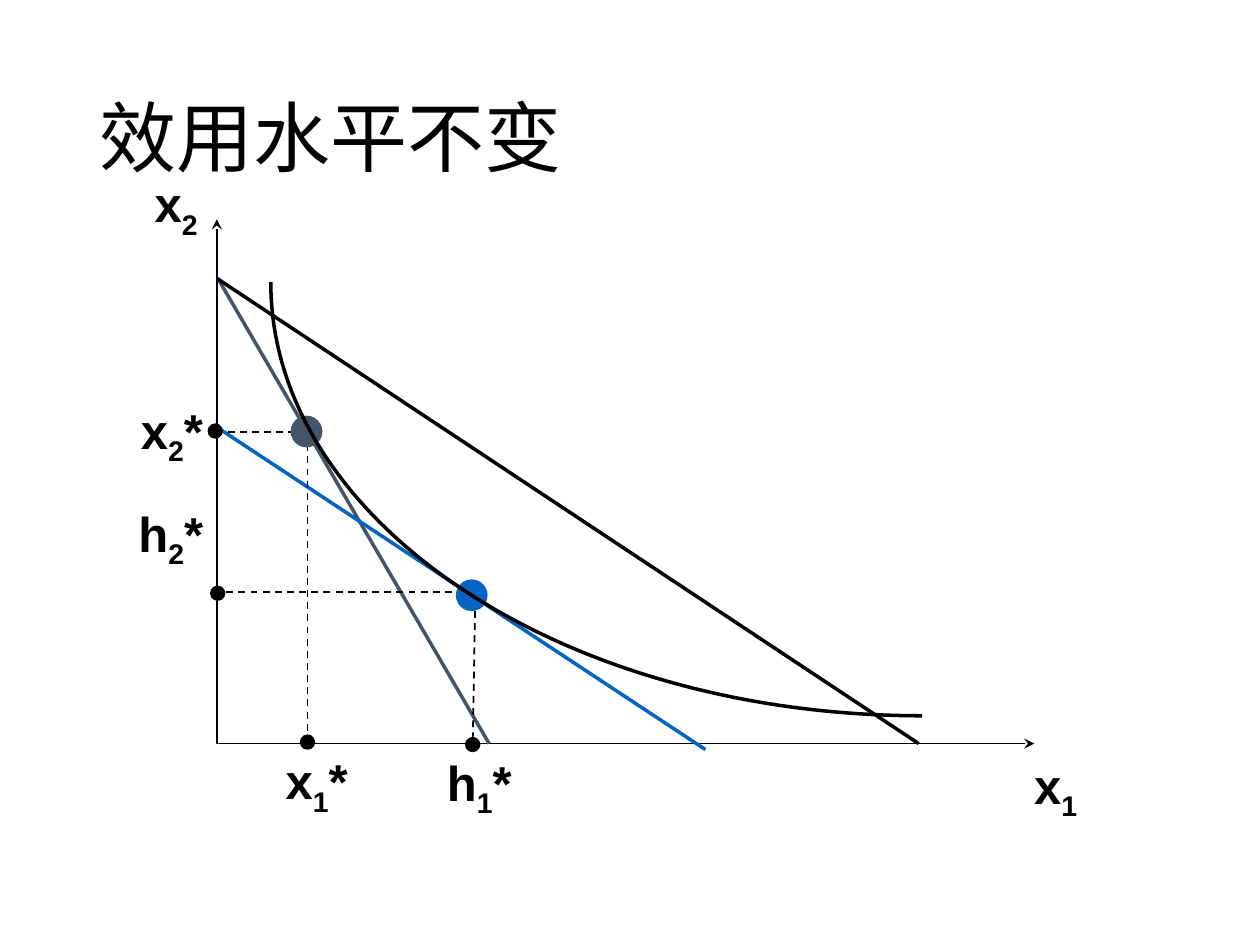
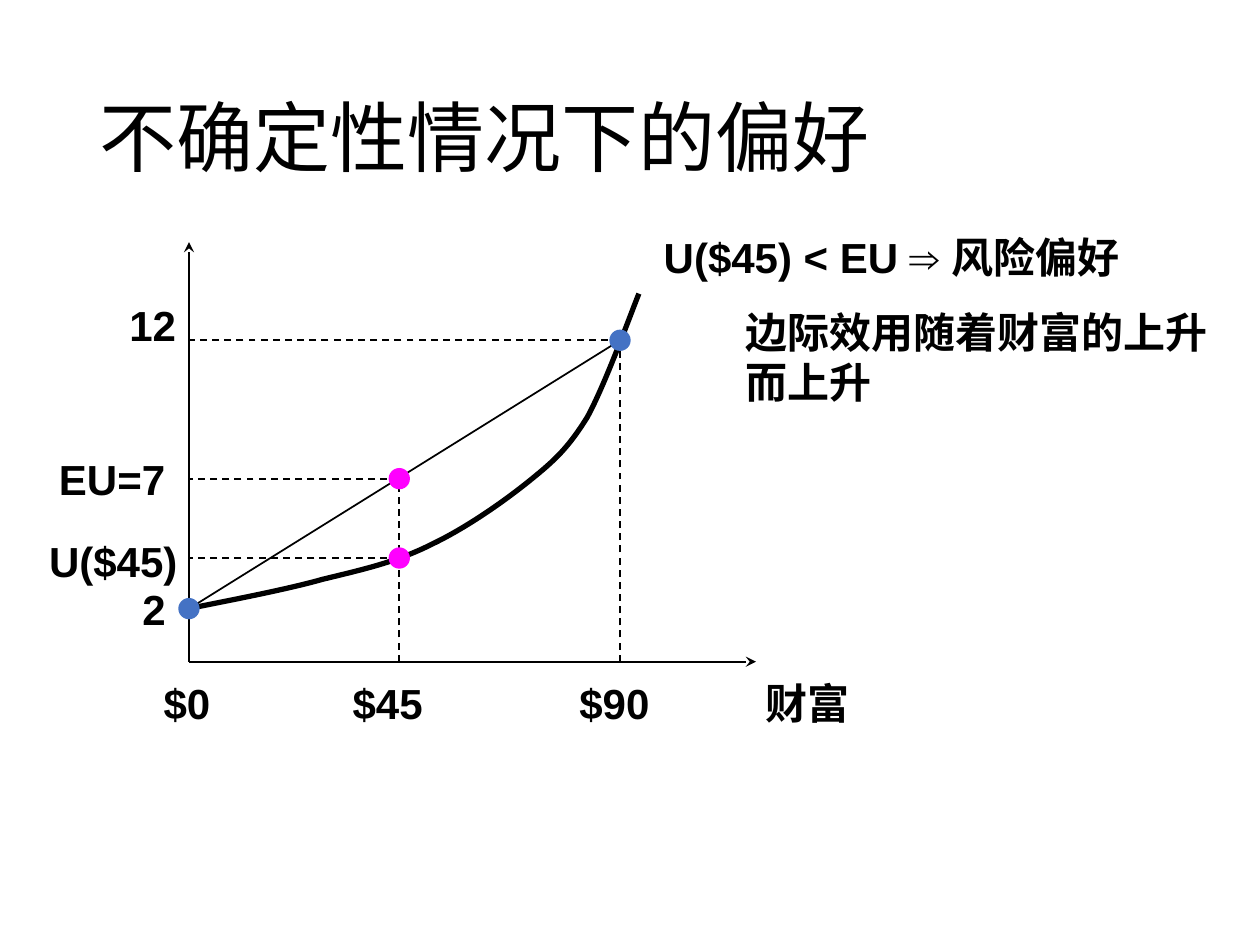
from lxml import etree
from pptx import Presentation
from pptx.dml.color import RGBColor
from pptx.enum.dml import MSO_LINE
from pptx.enum.shapes import MSO_CONNECTOR, MSO_SHAPE
from pptx.enum.text import MSO_ANCHOR, MSO_AUTO_SIZE, PP_ALIGN
from pptx.oxml.ns import qn
from pptx.util import Cm, Pt

DASH = MSO_LINE.DASH
STRAIGHT = MSO_CONNECTOR.STRAIGHT
OVAL = MSO_SHAPE.OVAL
MIDDLE = MSO_ANCHOR.MIDDLE
NO_FIT = MSO_AUTO_SIZE.NONE
LEFT = PP_ALIGN.LEFT
TITLE_ONLY = 5

BLACK = RGBColor(0x00, 0x00, 0x00)
SLATE = RGBColor(0x44, 0x54, 0x6A)
LINK_BLUE = RGBColor(0x05, 0x63, 0xC1)
BLUE = RGBColor(0x44, 0x72, 0xC4)
MAGENTA = RGBColor(0xFF, 0x00, 0xFF)


class Deck:
    title_font = {"name": "Calibri", "size": Pt(44), "bold": False}
    label_font = {"name": "Arial", "bold": True}

    def __init__(self):
        self.prs = Presentation()
        self.prs.slide_width = Cm(25.4)
        self.prs.slide_height = Cm(19.05)
        self.s = None

    def format(self, font, values):
        for name, value in values.items():
            setattr(font, name, value)
        font.color.rgb = BLACK

    def slide(self, title):
        self.s = self.prs.slides.add_slide(self.prs.slide_layouts[TITLE_ONLY])
        sp = self.s.shapes.title
        box = {"left": 1.75, "top": 1.02, "width": 21.9, "height": 3.68}
        for name, value in box.items():
            setattr(sp, name, Cm(value))
        tf = sp.text_frame
        tf.auto_size = NO_FIT
        tf.vertical_anchor = MIDDLE
        p = tf.paragraphs[0]
        p.alignment = LEFT
        p.line_spacing = 0.9
        r = p.add_run()
        r.text = title
        self.format(r.font, self.title_font)

    def label(self, x, y, w, h, *lines, size=24):
        sp = self.s.shapes.add_textbox(Cm(x), Cm(y), Cm(w), Cm(h))
        tf = sp.text_frame
        tf.word_wrap = False
        for i, line in enumerate(lines):
            p = tf.add_paragraph() if i else tf.paragraphs[0]
            p.alignment = LEFT
            for part in line.split("|"):
                r = p.add_run()
                r.text = part.lstrip("_")
                self.format(r.font, {**self.label_font, "size": Pt(size)})
                if part.startswith("_"):
                    r._r.get_or_add_rPr().set("baseline", "-25000")

    def line(self, start, end, color=BLACK, width=1, dash=None, arrow=False):
        ends = [Cm(v) for v in (*start, *end)]
        sp = self.s.shapes.add_connector(STRAIGHT, *ends)
        sp.line.color.rgb = color
        sp.line.width = Pt(width)
        if dash:
            sp.line.dash_style = dash
        pr = sp._element.spPr
        if arrow:
            etree.SubElement(pr.find(qn("a:ln")), qn("a:tailEnd"), type="stealth")
        etree.SubElement(pr, qn("a:effectLst"))

    def axes(self, origin, top, right):
        self.line(origin, (origin[0], top), arrow=True)
        self.line(origin, (right, origin[1]), arrow=True)

    def dot(self, x, y, size, color):
        r = size / 2
        sp = self.s.shapes.add_shape(OVAL, Cm(x - r), Cm(y - r), Cm(size), Cm(size))
        sp.shadow.inherit = False
        sp.fill.solid()
        sp.fill.fore_color.rgb = color
        sp.line.fill.background()

    def curve(self, points, width):
        start, *rest = [(Cm(x), Cm(y)) for x, y in points]
        builder = self.s.shapes.build_freeform(*start)
        builder.add_line_segments(rest, close=False)
        sp = builder.convert_to_shape()
        sp.shadow.inherit = False
        sp.fill.background()
        sp.line.color.rgb = BLACK
        sp.line.width = Pt(width)
        segments = list(sp._element.iter(qn("a:lnTo")))
        outline = segments[0].getparent()
        for i in range(0, len(segments), 3):
            bezier = etree.SubElement(outline, qn("a:cubicBezTo"))
            for segment in segments[i:i + 3]:
                bezier.append(segment[0])
                outline.remove(segment)


def constant_utility(deck):
    deck.slide("效用水平不变")
    x0, y0 = 4.37, 14.99
    deck.axes((x0, y0), 4.42, 20.85)
    for start, end, color in (
        ((4.39, 5.61), (9.86, y0), SLATE),
        ((x0, 5.61), (18.52, y0), BLACK),
        ((x0, 8.61), (14.22, 15.11), LINK_BLUE),
    ):
        deck.line(start, end, color, 2)
    for start, end in (
        ((6.2, 8.71), (6.2, y0)),
        ((6.2, 8.71), (x0, 8.71)),
        ((9.6, 11.94), (4.29, 11.94)),
        ((9.58, 12.07), (9.53, y0)),
    ):
        deck.line(start, end, dash=DASH)
    deck.dot(6.18, 8.7, 0.64, SLATE)
    deck.dot(9.51, 12, 0.64, LINK_BLUE)
    for x, y in ((4.34, 8.69), (4.39, 11.96), (6.2, 14.96), (9.53, 15.01)):
        deck.dot(x, y, 0.31, BLACK)
    for text, x, y, w in (
        ("x|_2", 2.87, 3.38, 1.45),
        ("x|_1", 20.6, 15.11, 1.45),
        ("x|_2|*", 2.59, 7.95, 1.88),
        ("h|_2|*", 2.54, 10.03, 1.88),
        ("x|_1|*", 5.51, 15.01, 1.83),
        ("h|_1|*", 8.76, 15.04, 1.88),
    ):
        deck.label(x, y, w, 1.45, text, size=28)
    deck.curve([(18.59, 14.43), (11.35, 14.43), (5.46, 10.52), (5.46, 5.69)], 2)


def risk_preference(deck):
    deck.slide("不确定性情况下的偏好")
    x0, y0 = 3.81, 13.34
    x45, x90 = 8.05, 12.5
    y_twelve, y_eu, y_u45, y_two = 6.86, 9.65, 11.25, 12.27
    deck.axes((x0, y0), 4.88, 15.24)
    for x, y in ((x90, y_twelve), (x45, y_eu)):
        deck.line((x, y0), (x, y), dash=DASH)
    for x, y in ((x90, y_twelve), (x45, y_eu), (x45, y_u45)):
        deck.line((x, y), (x0, y), dash=DASH)
    deck.line((x0, y_two), (x90, y_twelve))
    deck.curve([
        (x0, y_two),
        (4.27, 12.17), (5.69, 11.91), (6.5, 11.68),
        (7.32, 11.48), (8, 11.33), (8.71, 10.97),
        (9.4, 10.64), (10.16, 10.11), (10.69, 9.68),
        (11.2, 9.27), (11.46, 9.02), (11.84, 8.41),
        (12.19, 7.77), (12.67, 6.45), (12.88, 5.92),
    ], 3)
    for x, y, color in (
        (x45, y_u45, MAGENTA),
        (x45, y_eu, MAGENTA),
        (x0, y_two, BLUE),
        (x90, y_twelve, BLUE),
    ):
        deck.dot(x, y, 0.43, color)
    for text, x, w in (
        ("$0", 3.05, 1.45),
        ("$45", 6.86, 1.93),
        ("$90", 11.43, 1.93),
        ("财富", 15.19, 2.24),
    ):
        deck.label(x, 13.54, w, 1.28, text)
    for text, x, y, w in (
        ("12", 2.36, 5.92, 1.45),
        ("EU=7", 0.94, 9.02, 2.67),
        ("U($45)", 0.74, 10.67, 3.1),
        ("2", 2.62, 11.63, 0.99),
    ):
        deck.label(x, y, w, 1.27, text)
    deck.label(13.13, 4.55, 10.03, 1.3, "U($45) < EU ⇒ 风险偏好")
    deck.label(14.78, 6.05, 9.96, 2.31, "边际效用随着财富的上升", "而上升")


def main():
    deck = Deck()
    constant_utility(deck)
    risk_preference(deck)
    deck.prs.save("out.pptx")


if __name__ == "__main__":
    main()
